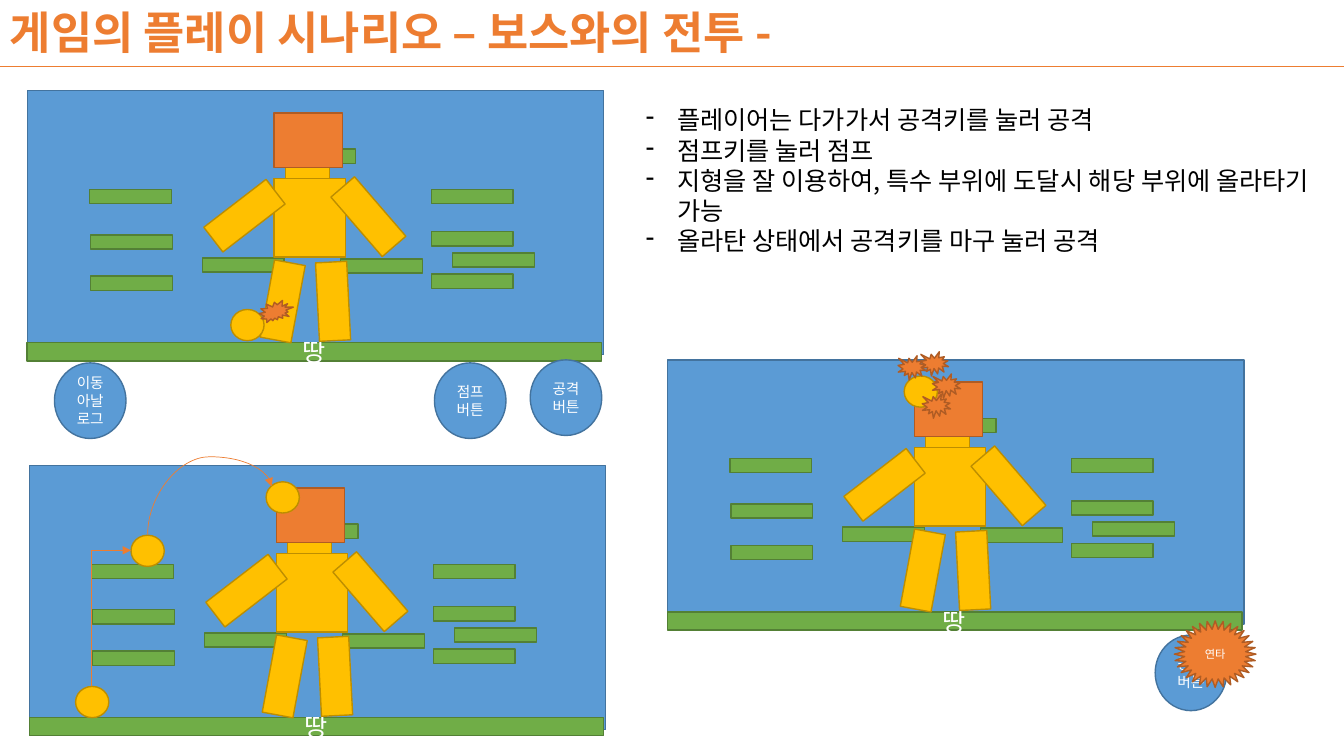
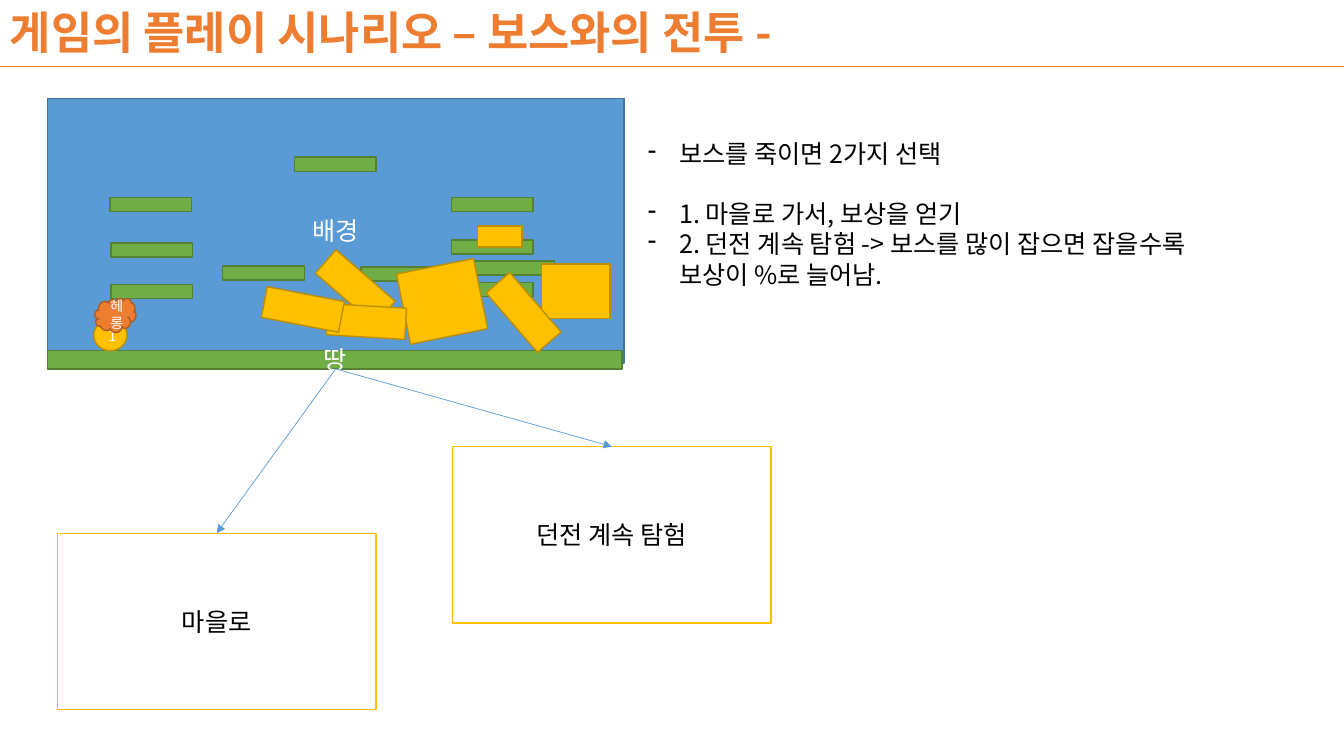
from lxml.etree import SubElement
from pptx import Presentation
from pptx.dml.color import RGBColor
from pptx.enum.shapes import MSO_CONNECTOR, MSO_SHAPE
from pptx.enum.text import MSO_ANCHOR, MSO_AUTO_SIZE, PP_ALIGN
from pptx.oxml.ns import qn
from pptx.util import Inches, Pt

FONT = "Noto Sans CJK KR"
BLACK = RGBColor(0x00, 0x00, 0x00)
WHITE = RGBColor(0xFF, 0xFF, 0xFF)
BLUE = RGBColor(0x5B, 0x9B, 0xD5)
ORANGE = RGBColor(0xED, 0x7D, 0x31)
GOLD = RGBColor(0xFF, 0xC0, 0x00)

# Fill and outline of each kind of game part
SKY = (BLUE, RGBColor(0x43, 0x73, 0x9E))
GRASS = (RGBColor(0x70, 0xAD, 0x47), RGBColor(0x53, 0x80, 0x35))
BODY = (GOLD, RGBColor(0xBD, 0x8E, 0x00))
HIT = (ORANGE, RGBColor(0xAF, 0x5C, 0x24))
OPTION = (WHITE, GOLD)

# The grid has square cells, 133.3 columns by 75 rows
CELL = Inches(0.1)
COLUMNS, ROWS = 133.33, 75

TITLE = "게임의 플레이 시나리오 – 보스와의 전투 -"
PLATFORM = (8.1, 1.4)
PLATFORM_SPOTS = [(6.3, 18.4), (6.3, 14.3), (6.2, 9.8), (40.1, 9.8), (40.1, 14),
                  (40.1, 18.2), (42.2, 16.1), (31.1, 16.7), (17.4, 16.6), (24.5, 5.8)]
HEAD, NECK, TORSO, LIMB = (6.8, 5.4), (4.4, 2.1), (7.1, 7.8), (3.1, 7.8)
BALL, BUTTON, BURST, CHOICE = (3.3, 3.1), (7.1, 7.5), (2.8, 2.4), (31.6, 17.5)

# Part size, position in the scene, turn in degrees
STANDING_BOSS = [(NECK, (25.6, 6.8), 0), (TORSO, (24.5, 8.7), 0),
                 (LIMB, (20, 8.5), 52.4), (LIMB, (32.3, 8.6), 319.2),
                 (LIMB, (28.8, 17), 357.1), (LIMB, (23.8, 17), 10.5)]
FALLEN_BOSS = [(HEAD, (49, 16.4), 0), (NECK, (42.7, 12.6), 0),
               (TORSO, (35.6, 16.2), 78.6), (LIMB, (29, 14.8), 131),
               (LIMB, (45.7, 17.3), 319.2), (LIMB, (30.1, 18.2), 93.4),
               (LIMB, (23.8, 17), 100.9)]


def grid(*cells):
    """Turn grid counts into lengths."""
    return [round(count * CELL) for count in cells]


def shift(origin, spot):
    """Move a spot given inside a scene to its place on the slide."""
    return origin[0] + spot[0], origin[1] + spot[1]


def add_run(paragraph, text, size, color, bold=False):
    """Add one run in the deck's font."""
    run = paragraph.add_run()
    run.text = text
    run.font.name, run.font.size, run.font.bold = FONT, Pt(size), bold
    run.font.color.rgb = color
    SubElement(run.font._element, qn("a:ea"), typeface=FONT)


def add_part(slide, kind, spot, size, look, label="", points=18, ink=WHITE, turn=0):
    """Draw a filled shape, with a centred label where one is given."""
    part = slide.shapes.add_shape(kind, *grid(*spot, *size))
    part.shadow.inherit = False
    part.fill.solid()
    part.fill.fore_color.rgb, part.line.color.rgb = look
    part.line.width = Pt(1)
    part.rotation = turn
    if label:
        part.text_frame.vertical_anchor = MSO_ANCHOR.MIDDLE
        paragraph = part.text_frame.paragraphs[0]
        paragraph.alignment = PP_ALIGN.CENTER
        add_run(paragraph, label, points, ink)


def add_line(slide, start, end, color, arrow=True, kind=MSO_CONNECTOR.STRAIGHT):
    """Draw a thin line, with an arrowhead unless told otherwise."""
    line = slide.shapes.add_connector(kind, *grid(*start, *end))
    line.line.color.rgb, line.line.width = color, Pt(0.5)
    if arrow:
        SubElement(line.line._get_or_add_ln(), qn("a:tailEnd"), type="triangle")
    SubElement(line._element.spPr, qn("a:effectLst"))
    return line


def add_jump(slide, start, end, kind, preset, bend=None):
    """Draw the route of a jump: a connector turned by a quarter."""
    jump = add_line(slide, start, end, ORANGE, kind=kind)
    properties = jump._element.spPr
    properties.find(qn("a:xfrm")).set("rot", str(90 * 60000))
    geometry = properties.find(qn("a:prstGeom"))
    geometry.set("prst", preset)
    if bend:
        guides = geometry.find(qn("a:avLst"))
        if guides is None:
            guides = SubElement(geometry, qn("a:avLst"))
        SubElement(guides, qn("a:gd"), name="adj1", fmla=f"val {bend}")


def add_text_area(slide, spot, size):
    """Add a wrapping text box that grows with its text."""
    frame = slide.shapes.add_textbox(*grid(*spot, *size)).text_frame
    frame.word_wrap = True
    frame.auto_size = MSO_AUTO_SIZE.SHAPE_TO_FIT_TEXT
    return frame


def add_titled_slide(deck):
    """Add a blank slide with the shared title and rule."""
    slide = deck.slides.add_slide(deck.slide_layouts[6])
    add_line(slide, (0, 6.6), (COLUMNS, 6.6), ORANGE, arrow=False)
    title = add_text_area(slide, (0, 0), (110.5, 6.4))
    add_run(title.paragraphs[0], TITLE, 32, ORANGE, bold=True)
    return slide


def add_rules(slide, spot, size, rules):
    """List (text, space before in points) pairs with dashes."""
    frame = add_text_area(slide, spot, size)
    for index, (rule, gap) in enumerate(rules):
        paragraph = frame.add_paragraph() if index else frame.paragraphs[0]
        paragraph.space_before = Pt(gap)
        properties = paragraph._p.get_or_add_pPr()
        properties.set("marL", str(Inches(0.31)))
        properties.set("indent", str(-Inches(0.31)))
        SubElement(properties, qn("a:buChar"), char="-")
        add_run(paragraph, rule, 18, BLACK)


def add_scene(slide, origin, boss):
    """Draw the sky, ground, platforms and the boss's body."""
    add_part(slide, MSO_SHAPE.RECTANGLE, origin, (57.2, 26.2), SKY, "배경")
    add_part(slide, MSO_SHAPE.RECTANGLE, shift(origin, (0, 25)), (57, 1.8), GRASS, "땅")
    for spot in PLATFORM_SPOTS:
        add_part(slide, MSO_SHAPE.RECTANGLE, shift(origin, spot), PLATFORM, GRASS)
    for size, spot, turn in boss:
        add_part(slide, MSO_SHAPE.RECTANGLE, shift(origin, spot), size, BODY, turn=turn)


def add_battle(slide, origin):
    """Draw a scene with the boss standing and its head exposed."""
    add_scene(slide, origin, STANDING_BOSS)
    add_part(slide, MSO_SHAPE.RECTANGLE, shift(origin, (24.5, 2.2)), HEAD, HIT)


def add_ball(slide, spot, label=""):
    """Draw the player."""
    add_part(slide, MSO_SHAPE.OVAL, spot, BALL, BODY, label, 10.5)


def add_button(slide, spot, label):
    """Draw a round control."""
    add_part(slide, MSO_SHAPE.OVAL, spot, BUTTON, SKY, label, 10.5)


def build_fight(deck):
    """Show the approach, the climb and the repeated attack."""
    slide = add_titled_slide(deck)
    add_rules(slide, (63.1, 9.9), (69.3, 16.2), [
        ("플레이어는 다가가서 공격키를 눌러 공격", 0),
        ("점프키를 눌러 점프", 0),
        ("지형을 잘 이용하여, 특수 부위에 도달시 해당 부위에 올라타기 가능", 0),
        ("올라탄 상태에서 공격키를 마구 눌러 공격", 0)])

    add_battle(slide, (2.7, 9))
    add_button(slide, (5.4, 36), "이동 아날로그")
    add_button(slide, (43.1, 36), "점프 버튼")
    add_button(slide, (52.6, 35.7), "공격 버튼")
    add_ball(slide, (22.9, 30.7))
    add_part(slide, MSO_SHAPE.EXPLOSION2, (25.7, 29.8), (3.4, 2.2), HIT)

    add_battle(slide, (2.9, 46.2))
    for spot in [(7.5, 68.1), (13, 53.1), (26.4, 47.8)]:
        add_ball(slide, spot)
    add_jump(slide, (17.8, 63.3), (4.3, 59.4), MSO_CONNECTOR.ELBOW, "bentConnector2")
    add_jump(slide, (23.2, 56.8), (18.4, 44.5), MSO_CONNECTOR.CURVE,
             "curvedConnector3", 161200)

    add_battle(slide, (66.2, 35.7))
    add_ball(slide, (89.7, 37.3))
    add_button(slide, (114.6, 63), "공격 버튼")
    add_part(slide, MSO_SHAPE.STAR_32_POINT, (116.5, 61.6), (8.1, 6.6), HIT, "연타", 8)
    for spot in [(91.3, 34.9), (92.5, 37.1), (89.1, 35.3), (91.5, 39.1)]:
        add_part(slide, MSO_SHAPE.EXPLOSION1, spot, BURST, HIT)


def build_victory(deck):
    """Show the fallen boss and the two choices that follow."""
    slide = add_titled_slide(deck)
    add_rules(slide, (63.3, 13.2), (57.7, 16.2), [
        ("보스를 죽이면 2가지 선택", 0),
        ("1. 마을로 가서, 보상을 얻기", 21.6),
        ("2. 던전 계속 탐험 -> 보스를 많이 잡으면 잡을수록 보상이 %로 늘어남.", 0)])
    add_scene(slide, (4.7, 9.8), FALLEN_BOSS)
    add_ball(slide, (9.3, 31.7), "1")
    add_part(slide, MSO_SHAPE.CLOUD, (9.4, 29.6), (4.1, 3.4), HIT, "헤롱", 10)
    for choice, spot in [("마을로", (5.7, 52.9)), ("던전 계속 탐험", (44.9, 44.3))]:
        add_part(slide, MSO_SHAPE.RECTANGLE, spot, CHOICE, OPTION, choice, ink=BLACK)
        add_line(slide, (33.3, 36.6), shift(spot, (CHOICE[0] / 2, 0)), BLUE)


def main():
    """Build and save the deck."""
    deck = Presentation()
    deck.slide_width, deck.slide_height = grid(COLUMNS, ROWS)
    build_fight(deck)
    build_victory(deck)
    deck.save("out.pptx")


main()
